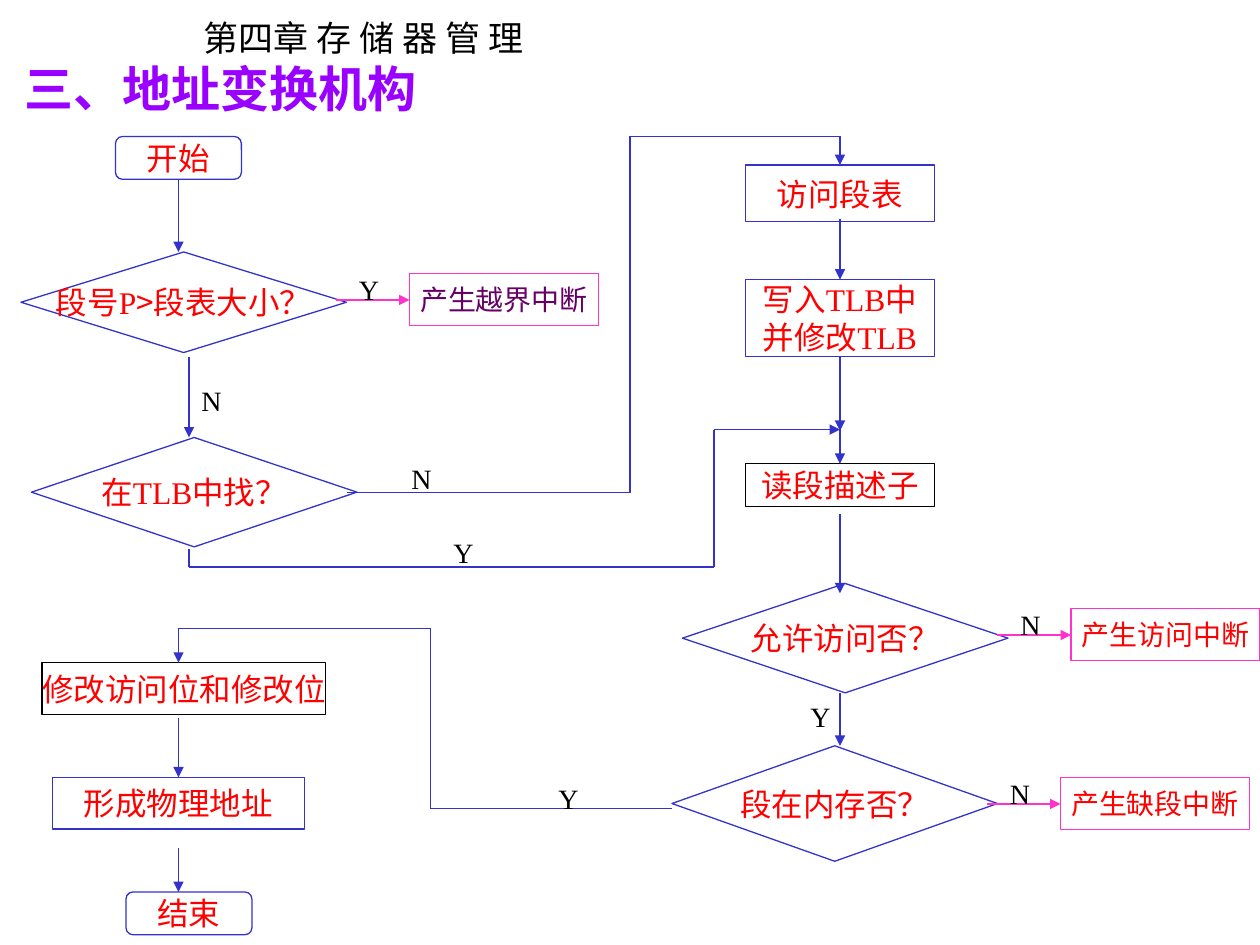
from lxml import etree
from pptx import Presentation
from pptx.dml.color import RGBColor
from pptx.enum.shapes import MSO_CONNECTOR, MSO_SHAPE
from pptx.enum.text import MSO_ANCHOR, PP_ALIGN
from pptx.oxml.ns import qn
from pptx.util import Pt

STRAIGHT = MSO_CONNECTOR.STRAIGHT
RECT = MSO_SHAPE.RECTANGLE
ROUND = MSO_SHAPE.ROUNDED_RECTANGLE
DIAMOND = MSO_SHAPE.DIAMOND
MIDDLE = MSO_ANCHOR.MIDDLE
TOP = MSO_ANCHOR.TOP
LEFT = PP_ALIGN.LEFT
CENTER = PP_ALIGN.CENTER

COLORS = {"blue": "3333CC", "pink": "FF33CC", "red": "FF0000",
          "plum": "660066", "violet": "9900FF", "black": "000000"}
SERIF = "Times New Roman"
SANS = "Noto Sans CJK SC"
FONTS = {
    "step": {"name": SERIF, "size": Pt(18)},
    "note": {"name": SERIF, "size": Pt(16)},
    "chapter": {"name": SANS, "size": Pt(20)},
    "title": {"name": SERIF, "size": Pt(28), "bold": True},
}


def shade(name):
    return RGBColor.from_string(COLORS[name])


def write(shape, text, style, color, align=CENTER, anchor=MIDDLE, wrap=False):
    frame = shape.text_frame
    frame.word_wrap = wrap
    frame.vertical_anchor = anchor
    for row, words in enumerate(text.split("\n")):
        para = frame.add_paragraph() if row else frame.paragraphs[0]
        para.alignment = align
        for part in words.replace(">", "|>|").split("|"):
            run = para.add_run()
            run.text = part
            for key, value in FONTS[style].items():
                setattr(run.font, key, value)
            if part == ">":
                run.font.name = SANS
            run.font.color.rgb = shade(color)


def node(slide, kind, box, text, line="blue", style="step", color="red"):
    shape = slide.shapes.add_shape(kind, *map(Pt, box))
    shape.shadow.inherit = False
    shape.fill.background()
    shape.line.color.rgb = shade(line)
    shape.line.width = Pt(0.75)
    write(shape, text, style, color)


def label(slide, x, y, text):
    box = slide.shapes.add_textbox(Pt(x), Pt(y), Pt(24), Pt(26.5))
    write(box, text, "note", "black", LEFT, TOP, True)


def route(slide, points, color="blue"):
    for start, end in zip(points, points[1:]):
        line = slide.shapes.add_connector(STRAIGHT, *map(Pt, start + end))
        line.line.color.rgb = shade(color)
        line.line.width = Pt(0.75)
        props = line.line._get_or_add_ln()
        if end == points[-1]:
            etree.SubElement(props, qn("a:tailEnd"), type="triangle")
        etree.SubElement(props.getparent(), qn("a:effectLst"))


def drops(slide, x, y, spans):
    for start, end in spans:
        route(slide, [(x, y + start), (x, y + end)])


def header(slide, x, y):
    for dx, dy, wide, high, text, style, color, align, wrap in (
            (109.4, 0, 201.6, 31.7, "第四章 存 储 器 管 理",
             "chapter", "black", LEFT, False),
            (0, 24.4, 252, 41, "三、地址变换机构",
             "title", "violet", CENTER, True)):
        box = slide.shapes.add_textbox(Pt(x + dx), Pt(y + dy), Pt(wide), Pt(high))
        write(box, text, style, color, align, TOP, wrap)


def lookup(slide, x, y):
    node(slide, ROUND, (x + 54, y, 72, 24.5), "开始")
    node(slide, DIAMOND, (x, y + 66, 186, 57.5), "段号P>段表大小？")
    node(slide, DIAMOND, (x + 6, y + 172, 186, 62.5), "在TLB中找？")
    drops(slide, x + 90, y, [(24.5, 66)])
    drops(slide, x + 96, y, [(126, 172)])
    label(slide, x + 96, y + 137.5, "N")


def access(slide, x, y):
    for top, high, text, line in (
            (16.3, 32.4, "访问段表", "blue"),
            (81.8, 44, "写入TLB中\n并修改TLB", "blue"),
            (187, 24.5, "读段描述子", "black")):
        node(slide, RECT, (x + 42, y + top, 108, high), text, line)
    node(slide, DIAMOND, (x + 6, y + 255.4, 186, 62.5), "允许访问否？")
    node(slide, DIAMOND, (x, y + 348.2, 186, 66), "段在内存否？")
    drops(slide, x + 96, y, [(47.3, 81.8), (125.8, 168.2), (162.5, 187),
                             (215.8, 261), (318, 348.2)])
    label(slide, x + 72, y + 318, "Y")


def finish(slide, x, y):
    node(slide, RECT, (x, y, 162, 29.5), "修改访问位和修改位", "black")
    node(slide, RECT, (x + 6, y + 65.5, 144, 29.5), "形成物理地址")
    node(slide, ROUND, (x + 48, y + 131, 72, 24.5), "结束")
    drops(slide, x + 78, y, [(31.7, 65.5), (106, 131)])


def fault(slide, x, y, mark, text, color="red"):
    route(slide, [(x, y + 19.4), (x + 42, y + 19.4)], "pink")
    node(slide, RECT, (x + 42, y + 4.4, 108, 29.5), text, "pink", "note", color)
    label(slide, x + 6, y, mark)


def links(slide, x, y):
    for points, spot, mark in (
            ([(96, 203.5), (258, 203.5), (258, 0), (378, 0), (378, 16.3)],
             (126, 182), "N"),
            ([(6, 236), (6, 246), (306, 246), (306, 167.5), (378, 167.5)],
             (150, 224.4), "Y"),
            ([(282, 384), (144, 384), (144, 281), (0, 281), (0, 300.7)],
             (210, 364.8), "Y")):
        route(slide, [(x + dx, y + dy) for dx, dy in points])
        label(slide, x + spot[0], y + spot[1], mark)


def main():
    deck = Presentation()
    deck.slide_width, deck.slide_height = Pt(720), Pt(540)
    slide = deck.slides.add_slide(deck.slide_layouts[6])
    header(slide, 0, 5.8)
    lookup(slide, 12, 78)
    access(slide, 384, 78)
    finish(slide, 24, 378.7)
    fault(slide, 192, 152, "Y", "产生越界中断", "plum")
    fault(slide, 570, 343.5, "N", "产生访问中断")
    fault(slide, 564, 440, "N", "产生缺段中断")
    links(slide, 102, 78)
    deck.save("out.pptx")


if __name__ == "__main__":
    main()
